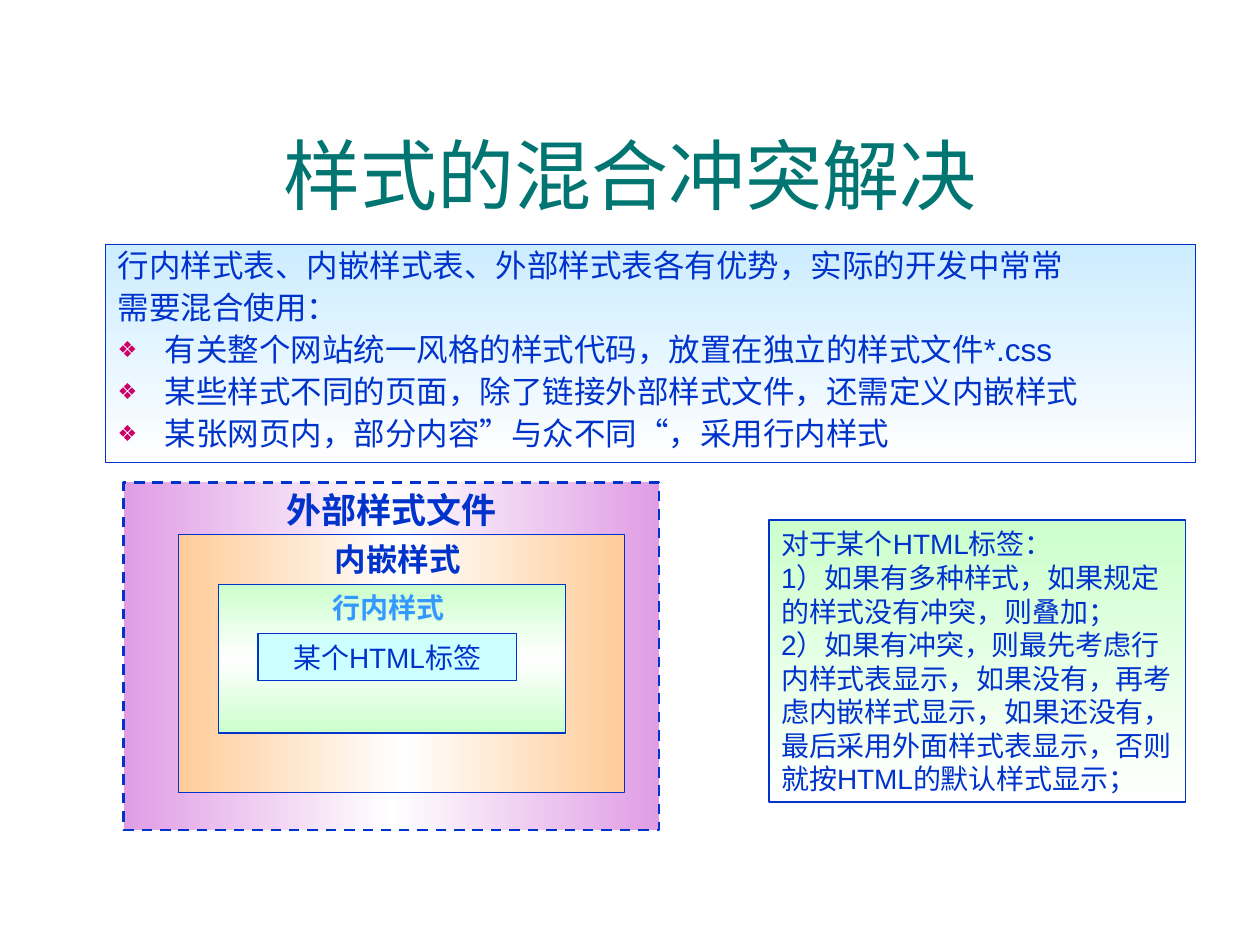
from copy import deepcopy

from lxml import etree
from pptx import Presentation
from pptx import util as u
from pptx.dml.color import RGBColor
from pptx.enum import dml, shapes, text
from pptx.oxml import ns

Pt = u.Pt
BLUE = RGBColor(0x00, 0x33, 0xCC)
LIGHT_BLUE = RGBColor(0x33, 0x99, 0xFF)
TEAL = RGBColor(0x00, 0x75, 0x72)
WHITE = RGBColor(0xFF, 0xFF, 0xFF)
SKY = RGBColor(0xCC, 0xEC, 0xFF)
VIOLET = RGBColor(0xE0, 0x9D, 0xE5)
ORANGE = RGBColor(0xFF, 0xCC, 0x99)
GREEN = RGBColor(0xCC, 0xFF, 0xCC)
CYAN = RGBColor(0xCC, 0xFF, 0xFF)
BULLET = RGBColor(0xCC, 0x00, 0x66)

TITLE = "样式的混合冲突解决"
INTRO = [
    "行内样式表、内嵌样式表、外部样式表各有优势，实际的开发中常常",
    "需要混合使用：",
]
POINTS = [
    "有关整个网站统一风格的样式代码，放置在独立的样式文件*.css",
    "某些样式不同的页面，除了链接外部样式文件，还需定义内嵌样式",
    "某张网页内，部分内容”与众不同“，采用行内样式",
]
RULES = [
    "对于某个HTML标签：",
    "1）如果有多种样式，如果规定的样式没有冲突，则叠加；",
    "2）如果有冲突，则最先考虑行内样式表显示，如果没有，再考虑内嵌样式显示，"
    "如果还没有，最后采用外面样式表显示，否则就按HTML的默认样式显示；",
]
LAYERS = [
    ("外部样式文件", (70.7, 275.7, 306, 198.7), [VIOLET, WHITE, VIOLET], 0, 20, BLUE),
    ("内嵌样式 ", (102, 305.3, 255, 147.6), [ORANGE, WHITE, ORANGE], 0, 18, BLUE),
    ("行内样式 ", (124.7, 333.9, 198.5, 85), [GREEN, WHITE, GREEN], 90, 16, LIGHT_BLUE),
]


def set_gradient(s, colors, angle):
    fill = s.fill
    fill.gradient()
    fill.gradient_angle = (360 - angle) % 360
    stops = s._element.spPr.find(ns.qn("a:gradFill")).find(ns.qn("a:gsLst"))
    for _ in colors[2:]:
        stops.append(deepcopy(stops[0]))
    for i, (stop, color) in enumerate(zip(fill.gradient_stops, colors)):
        stop.color.rgb = color
        stop.position = i / (len(colors) - 1)


def add_box(slide, at, colors, angle=0, width=0.75):
    s = slide.shapes.add_shape(shapes.MSO_SHAPE.RECTANGLE, *map(Pt, at))
    s.shadow.inherit = False
    if len(colors) > 1:
        set_gradient(s, colors, angle)
    else:
        s.fill.solid()
        s.fill.fore_color.rgb = colors[0]
    s.line.color.rgb = BLUE
    s.line.width = Pt(width)
    return s


def write(s, lines, size, color=BLUE, bold=False, align=text.PP_ALIGN.LEFT,
          anchor=text.MSO_ANCHOR.TOP, wrap=True):
    tf = s.text_frame
    tf.word_wrap = wrap
    tf.vertical_anchor = anchor
    for i, line in enumerate(lines):
        p = tf.paragraphs[0] if i == 0 else tf.add_paragraph()
        p.alignment = align
        r = p.add_run()
        r.text = line
        r.font.name = "Arial"
        r.font.size = Pt(size)
        r.font.bold = bold
        r.font.color.rgb = color
    return tf.paragraphs


def add_bullet(p):
    pPr = p._p.get_or_add_pPr()
    color = etree.SubElement(pPr, ns.qn("a:buClr"))
    etree.SubElement(color, ns.qn("a:srgbClr"), val=str(BULLET))
    etree.SubElement(pPr, ns.qn("a:buSzPct"), val="70000")
    etree.SubElement(pPr, ns.qn("a:buFont"), typeface="Arial")
    etree.SubElement(pPr, ns.qn("a:buChar"), char="❖")
    pPr.set("marL", str(Pt(27)))
    pPr.set("indent", str(Pt(-27)))


def main():
    prs = Presentation()
    prs.slide_width, prs.slide_height = Pt(720), Pt(540)
    slide = prs.slides.add_slide(prs.slide_layouts[6])
    center, middle = text.PP_ALIGN.CENTER, text.MSO_ANCHOR.MIDDLE

    title = slide.shapes.add_textbox(Pt(24), Pt(54), Pt(672), Pt(90))
    write(title, [TITLE], 44, TEAL, align=center, anchor=middle)

    intro = add_box(slide, (60.2, 139.7, 623, 124.6), [SKY, WHITE], 90)
    for i, p in enumerate(write(intro, INTRO + POINTS, 18)):
        if i >= len(INTRO):
            add_bullet(p)
        p.line_spacing = 0.9
        p.space_before = Pt(4.5 if i else 0)

    for name, at, colors, angle, size, color in LAYERS:
        layer = add_box(slide, at, colors, angle)
        write(layer, [name], size, color, bold=True, align=center, wrap=False)
        if name == LAYERS[0][0]:
            layer.line.width = Pt(1.5)
            layer.line.dash_style = dml.MSO_LINE.DASH

    tag = add_box(slide, (147.4, 362.2, 147.6, 26.6), [CYAN])
    write(tag, ["某个HTML标签"], 16, align=center, anchor=middle)

    rules = add_box(slide, (439.3, 297.2, 238.2, 161.2), [GREEN, WHITE], 90, 1)
    write(rules, RULES, 16, anchor=middle)

    prs.save("out.pptx")


if __name__ == "__main__":
    main()
